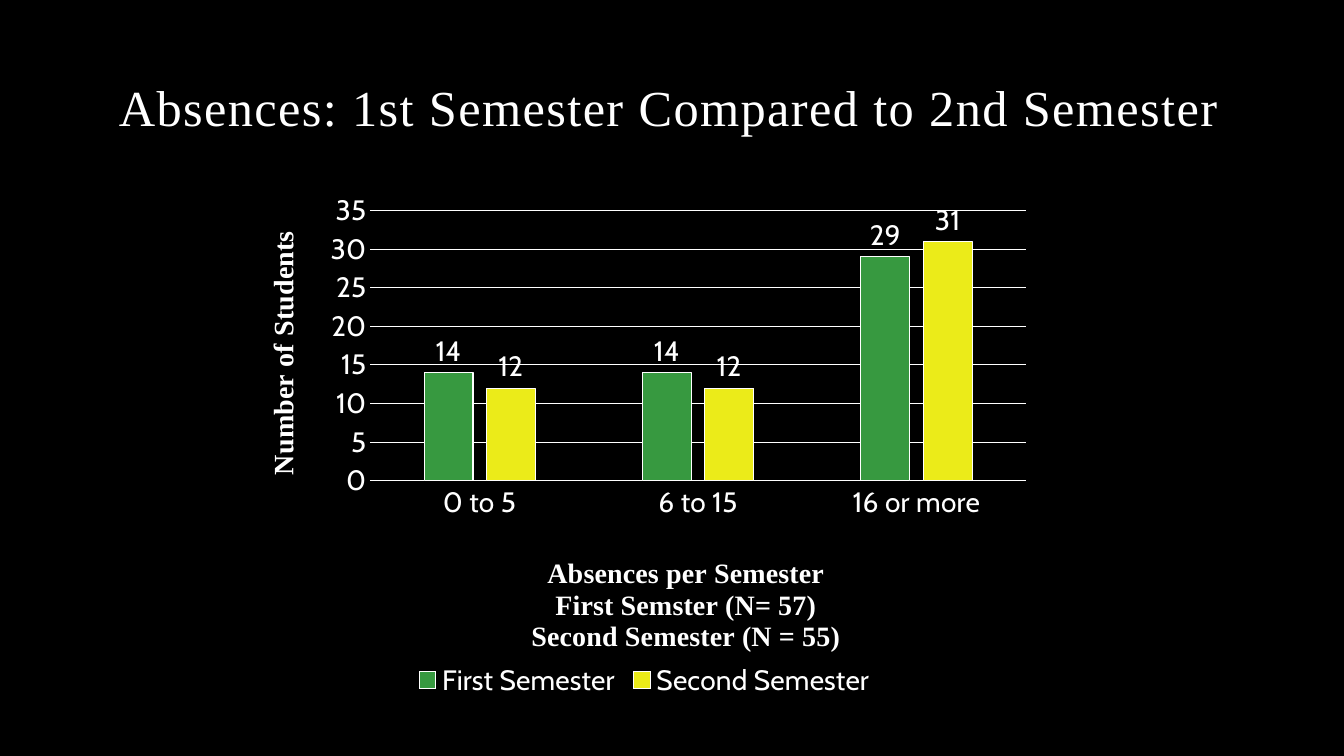
"""Build a slide comparing first and second semester absences."""
import pptx
import pptx.chart.data
import pptx.dml.color
import pptx.enum.chart
import pptx.enum.text
import pptx.oxml
import pptx.oxml.ns
import pptx.util

WIDTH, HEIGHT = pptx.util.Inches(13.33), pptx.util.Inches(7.5)
COLORS = {"background": "000000", "text": "FFFFFF", "first": "379940", "second": "EBEB19"}
SERIF, SANS = "Times New Roman", "Cabin"
CATEGORIES = ["0 to 5", "6 to 15", "16 or more"]
SEMESTERS = [
    ("First Semester", [14, 14, 29], "first"),
    ("Second Semester", [12, 12, 31], "second"),
]
TITLE_BOX = (0.081, 0.056, 0.85, 0.133)
CHART_BOX = (0.1875, 0.244, 0.5875, 0.688)
NO_TICK = pptx.enum.chart.XL_TICK_MARK.NONE


def color(name):
    return pptx.dml.color.RGBColor.from_string(COLORS[name])


def apply_format(target, values):
    for name, value in values.items():
        setattr(target, name, value)


def box(shares):
    left, top, width, height = shares
    return [int(share) for share in (left * WIDTH, top * HEIGHT, width * WIDTH, height * HEIGHT)]


def style_font(font, name, size, bold=False):
    apply_format(font, {"name": name, "size": pptx.util.Pt(size), "bold": bold})
    font.color.rgb = color("text")


def style_line(line):
    line.color.rgb = color("text")
    line.width = pptx.util.Pt(0.75)


def place(parent, index, **shares):
    for old in parent.findall(pptx.oxml.ns.qn("c:layout")):
        parent.remove(old)
    modes = "".join(f'<c:{axis}Mode val="edge"/>' for axis in "xy")
    target = '<c:layoutTarget val="inner"/>' if "w" in shares else ""
    values = "".join(f'<c:{key} val="{share}"/>' for key, share in shares.items())
    parent.insert(index, pptx.oxml.parse_xml(
        f'<c:layout {pptx.oxml.ns.nsdecls("c")}><c:manualLayout>'
        f"{target}{modes}{values}</c:manualLayout></c:layout>"))


def add_title(slide, text):
    frame = slide.shapes.add_textbox(*box(TITLE_BOX)).text_frame
    apply_format(frame, {"word_wrap": True, "vertical_anchor": pptx.enum.text.MSO_ANCHOR.BOTTOM})
    paragraph = frame.paragraphs[0]
    paragraph.line_spacing = 0.9
    run = paragraph.add_run()
    run.text = text
    style_font(run.font, SERIF, 36)
    run.font._element.set("spc", "100")


def style_axis(axis, title, rotation, x, y):
    apply_format(axis, {"major_tick_mark": NO_TICK, "minor_tick_mark": NO_TICK})
    style_font(axis.tick_labels.font, SANS, 20)
    frame = axis.axis_title.text_frame
    frame.text = title
    frame._txBody.bodyPr.set("rot", str(rotation))
    for paragraph in frame.paragraphs:
        style_font(paragraph.runs[0].font, SERIF, 20, True)
    place(axis.axis_title._element, 1, x=x, y=y)


def style_series(series, fill):
    series.format.fill.solid()
    series.format.fill.fore_color.rgb = color(fill)
    style_line(series.format.line)
    labels = series.data_labels
    apply_format(labels, {
        "show_value": True,
        "position": pptx.enum.chart.XL_LABEL_POSITION.OUTSIDE_END,
    })
    style_font(labels.font, SANS, 20)


def add_legend(chart):
    chart.has_legend = True
    apply_format(chart.legend, {
        "position": pptx.enum.chart.XL_LEGEND_POSITION.BOTTOM,
        "include_in_layout": False,
    })
    style_font(chart.legend.font, SANS, 20)
    place(chart.legend._element, 1, x=0.2, y=0.92)


def add_absences_chart(slide):
    data = pptx.chart.data.CategoryChartData()
    data.categories = CATEGORIES
    for name, counts, _ in SEMESTERS:
        data.add_series(name, counts)
    kind = pptx.enum.chart.XL_CHART_TYPE.COLUMN_CLUSTERED
    chart = slide.shapes.add_chart(kind, *box(CHART_BOX), data).chart
    chart.has_title = False
    style_font(chart.font, SANS, 10)
    plot = chart.plots[0]
    apply_format(plot, {"gap_width": 219, "overlap": -27, "vary_by_categories": False})
    for series, (_, _, fill) in zip(plot.series, SEMESTERS):
        style_series(series, fill)
    style_axis(chart.category_axis,
               "Absences per Semester\nFirst Semster (N= 57)\nSecond Semester (N = 55)",
               0, 0.35, 0.71)
    style_line(chart.category_axis.format.line)
    value_axis = chart.value_axis
    style_axis(value_axis, "Number of Students", -5400000, 0.01, 0.08)
    apply_format(value_axis, {"minimum_scale": 0, "maximum_scale": 35, "major_unit": 5})
    value_axis.format.line.fill.background()
    style_line(value_axis.major_gridlines.format.line)
    add_legend(chart)
    place(chart._chartSpace.chart.plotArea, 0, x=0.15, y=0.05, w=0.83, h=0.52)


def main():
    presentation = pptx.Presentation()
    apply_format(presentation, {"slide_width": WIDTH, "slide_height": HEIGHT})
    slide = presentation.slides.add_slide(presentation.slide_layouts[6])
    slide.background.fill.solid()
    slide.background.fill.fore_color.rgb = color("background")
    add_title(slide, "Absences: 1st Semester Compared to 2nd Semester")
    add_absences_chart(slide)
    presentation.save("out.pptx")


if __name__ == "__main__":
    main()
